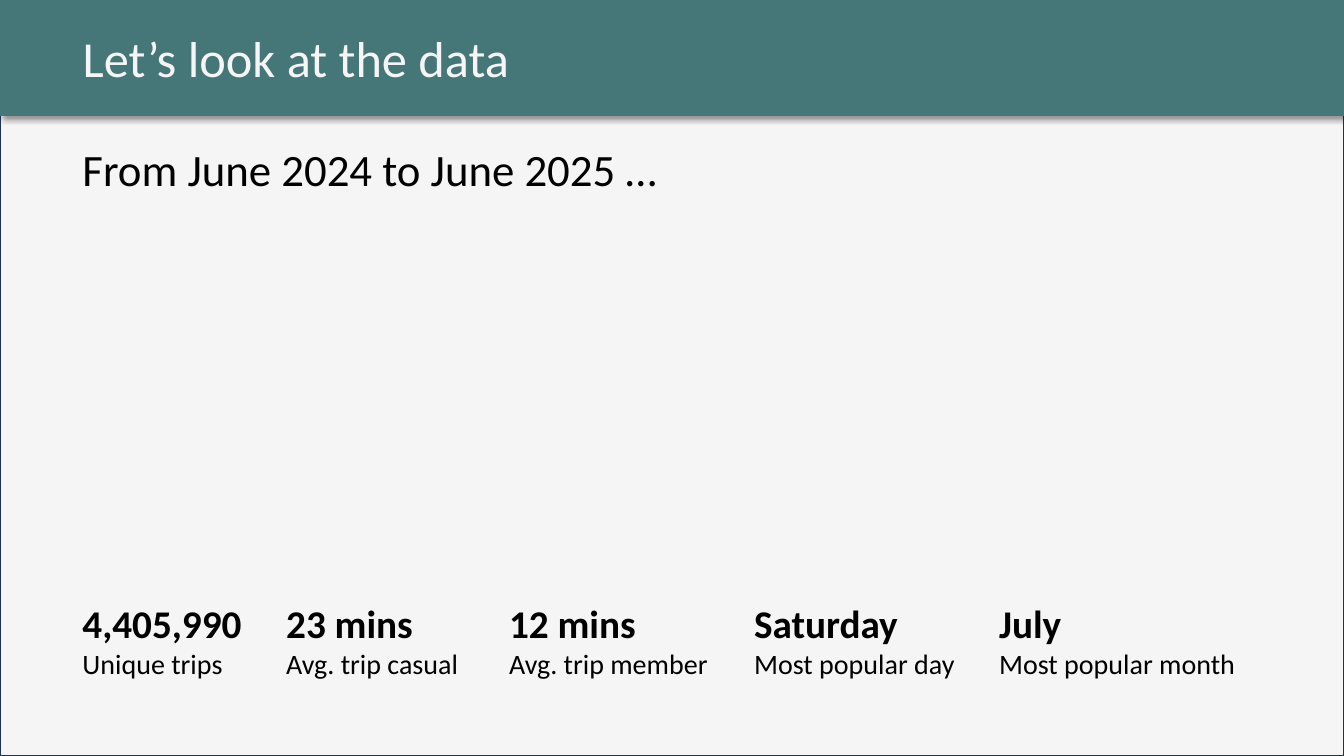
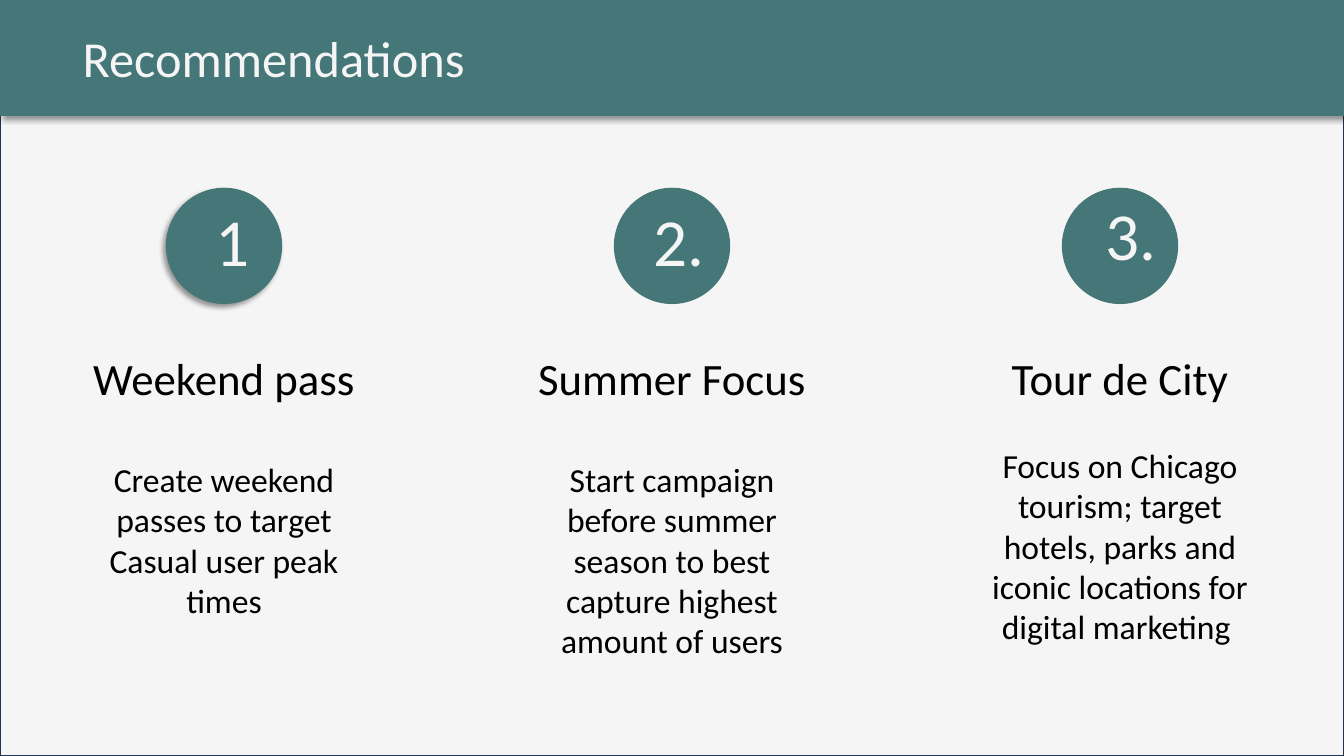
import lxml.etree
import pptx
import pptx.dml.color
import pptx.enum.shapes
import pptx.enum.text
import pptx.oxml.ns
import pptx.util

COLORS = {
    "paper": "F5F5F5",
    "teal": "457778",
    "navy": "1E3256",
    "ink": "000000",
}
FONT = "Calibri"
SHAPE = pptx.enum.shapes.MSO_SHAPE
LEFT = pptx.enum.text.PP_ALIGN.LEFT
CENTER = pptx.enum.text.PP_ALIGN.CENTER

# Boxes are (left, top, width, height) in percent of the slide's size.
MARGIN = 5.4
BAND_HEIGHT = 15.2

presentation = pptx.Presentation()
presentation.slide_width = pptx.util.Inches(13.33)
presentation.slide_height = pptx.util.Inches(7.5)


def write_text(shape, box, lines, color="ink", alignment=LEFT):
    """Place the shape and fill it with (text, size, bold, space before) lines."""
    sides = (presentation.slide_width, presentation.slide_height) * 2
    shape.left, shape.top, shape.width, shape.height = (
        int(side * share / 100) for side, share in zip(sides, box))
    frame = shape.text_frame
    frame.word_wrap = True
    frame.auto_size = pptx.enum.text.MSO_AUTO_SIZE.NONE
    frame.vertical_anchor = pptx.enum.text.MSO_ANCHOR.TOP
    for index, (text, size, bold, space_before) in enumerate(lines):
        paragraph = frame.add_paragraph() if index else frame.paragraphs[0]
        paragraph.text = text
        paragraph.alignment = alignment
        paragraph.space_before = pptx.util.Pt(space_before)
        paragraph.font.name = FONT
        paragraph.font.size = pptx.util.Pt(size)
        paragraph.font.bold = bold
        paragraph.font.color.rgb = pptx.dml.color.RGBColor.from_string(COLORS[color])


def add_filled(shapes, kind, box, fill, line, shadow_angle=None):
    """Add an outlined shape, with a soft shadow if an angle in degrees is given."""
    sides = (presentation.slide_width, presentation.slide_height) * 2
    shape = shapes.add_shape(
        kind, *(int(side * share / 100) for side, share in zip(sides, box)))
    shape.fill.solid()
    shape.fill.fore_color.rgb = pptx.dml.color.RGBColor.from_string(COLORS[fill])
    shape.line.color.rgb = pptx.dml.color.RGBColor.from_string(COLORS[line])
    shape.line.width = pptx.util.Pt(1)
    shape.shadow.inherit = False
    if shadow_angle is not None:
        qn = pptx.oxml.ns.qn
        effects = shape.element.spPr.find(qn("a:effectLst"))
        shadow = lxml.etree.SubElement(
            effects, qn("a:outerShdw"), blurRad=str(pptx.util.Pt(4)),
            dist=str(pptx.util.Pt(3)), dir=str(shadow_angle * 60000),
            algn="t", rotWithShape="0")
        black = lxml.etree.SubElement(shadow, qn("a:srgbClr"), val=COLORS["ink"])
        lxml.etree.SubElement(black, qn("a:alpha"), val="40000")
    return shape


# Shared layout: paper background and teal title band
layout = presentation.slide_layouts.get_by_name("Title Only")
for placeholder in list(layout.placeholders):
    if placeholder.placeholder_format.idx != 0:
        layout.shapes.element.remove(placeholder.element)

data_slide = presentation.slides.add_slide(layout)
advice_slide = presentation.slides.add_slide(layout)

background = add_filled(data_slide.shapes, SHAPE.RECTANGLE, (0, 0, 100, 100),
                        "paper", "navy")
band = add_filled(data_slide.shapes, SHAPE.RECTANGLE, (0, 0, 100, BAND_HEIGHT),
                  "teal", "teal", shadow_angle=45)
for position, backdrop in enumerate((background, band), start=2):
    layout.shapes.element.insert(position, backdrop.element)

titles = ((data_slide, "Let’s look at the data"), (advice_slide, "Recommendations"))
for slide, title in titles:
    write_text(slide.shapes.title, (MARGIN, 2.93, 81.1, 9.47),
               [(title, 36, False, 0)], color="paper")

# Data slide: period and a row of key figures
write_text(data_slide.shapes.add_textbox(0, 0, 0, 0), (MARGIN, 18.13, 72.17, 22.93),
           [("From June 2024 to June 2025 …", 32, False, 0)])

FIGURE_GAP = 1.73
figures = (
    ("4,405,990", "Unique trips", 13.43),
    ("23 mins", "Avg. trip casual", 14.85),
    ("12 mins", "Avg. trip member", 16.5),
    ("Saturday", "Most popular day", 16.5),
    ("July", "Most popular month", 19.5),
)
figure_left = MARGIN
for value, label, width in figures:
    write_text(data_slide.shapes.add_textbox(0, 0, 0, 0),
               (figure_left, 78.67, width, 12.13),
               [(value, 28, True, 0), (label, 20, False, 0)])
    figure_left += width + FIGURE_GAP

# Recommendations slide: three columns, each under a numbered circle
COLUMN_WIDTH = 22.73
CIRCLE_WIDTH = 8.55
CIRCLE_TOP = 24.93
# heading, advice, gap between them, number's width, shift and top, shadow angle
recommendations = (
    ("Weekend pass", "Create weekend passes to target Casual user peak times",
     39, 5.1, 0.6, 25.73, 135),
    ("Summer Focus",
     "Start campaign before summer season to best capture highest amount of users",
     39, 5.55, 0.55, 25.73, None),
    ("Tour de City",
     "Focus on Chicago tourism; target hotels, parks and iconic locations "
     "for digital marketing ",
     29, 5.55, 0.85, CIRCLE_TOP, None),
)
for index, recommendation in enumerate(recommendations):
    heading, advice, gap, number_width, shift, number_top, angle = recommendation
    center = 100 * (index + 0.5) / len(recommendations)
    write_text(advice_slide.shapes.add_textbox(0, 0, 0, 0),
               (center - COLUMN_WIDTH / 2, 45.73, COLUMN_WIDTH, 48),
               [(heading, 32, False, 0), (advice, 24, False, gap)], alignment=CENTER)
    badge = advice_slide.shapes.add_group_shape()
    add_filled(badge.shapes, SHAPE.OVAL,
               (center - CIRCLE_WIDTH / 2, CIRCLE_TOP, CIRCLE_WIDTH, BAND_HEIGHT),
               "teal", "teal", shadow_angle=angle)
    # The text box is sized after it joins the group, so it stays inside the circle.
    write_text(badge.shapes.add_textbox(badge.left, badge.top, 0, 0),
               (center + shift - number_width / 2, number_top, number_width, 12.13),
               [(f"{index + 1}.", 48, False, 0)], color="paper", alignment=CENTER)

presentation.save("out.pptx")
